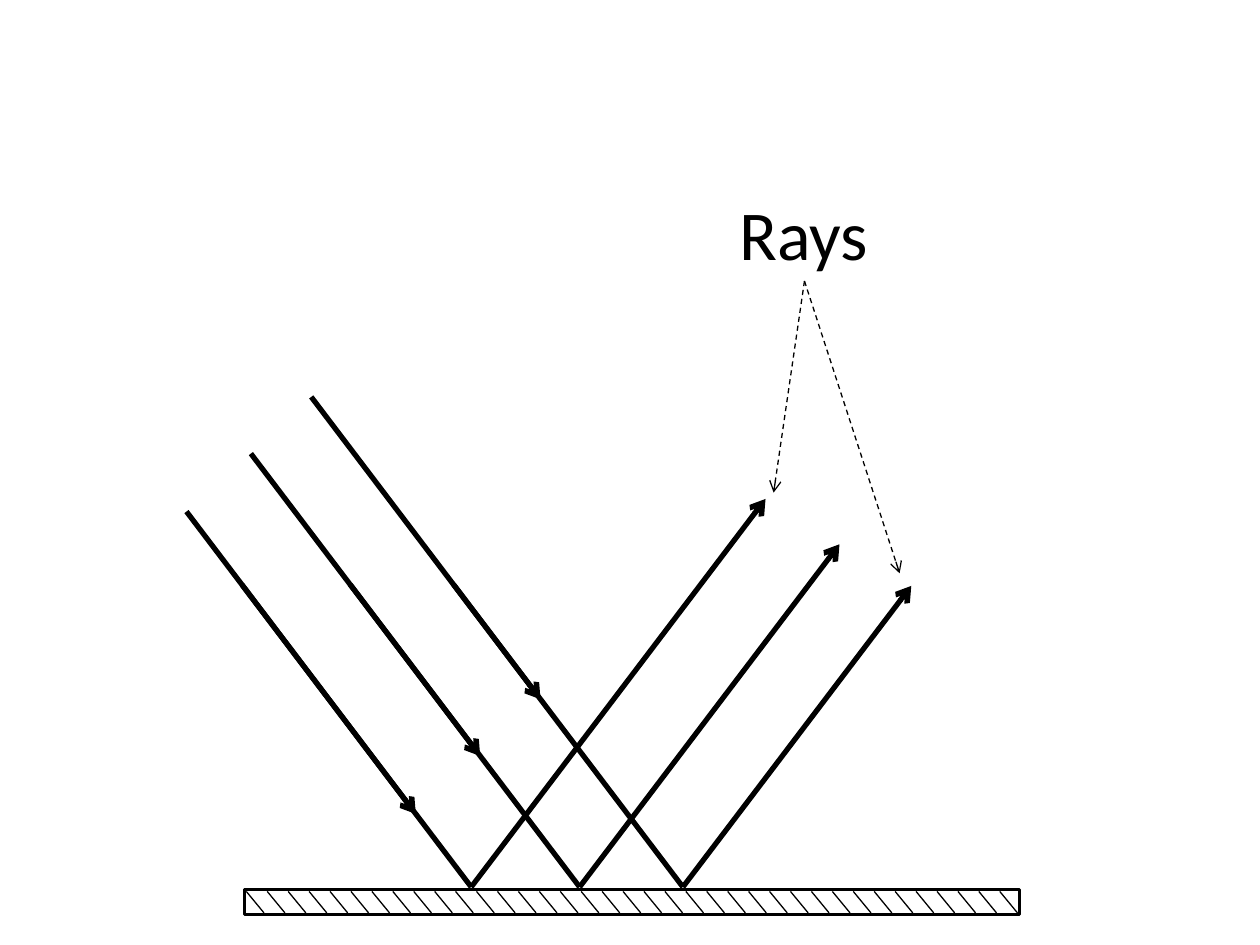
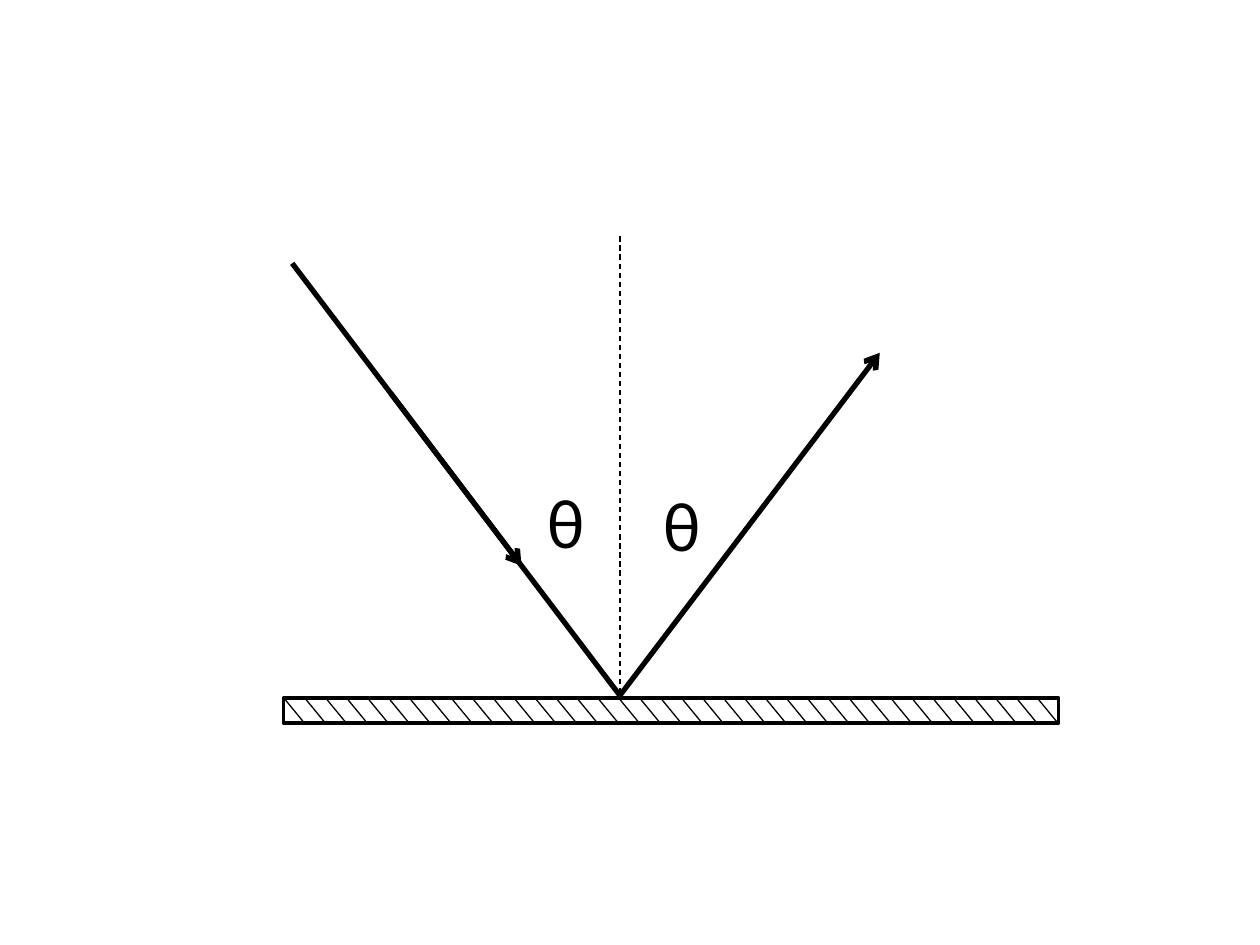
from dataclasses import dataclass

from lxml import etree
from pptx import Presentation
from pptx import util as u
from pptx.dml.color import RGBColor
from pptx.enum import dml, shapes, text
from pptx.oxml import ns


@dataclass(frozen=True)
class Theme:
    ink: RGBColor = RGBColor(0, 0, 0)
    paper: RGBColor = RGBColor(255, 255, 255)
    font: str = "Calibri"
    label: float = 40
    ray: float = 3
    edge: float = 2
    thin: float = 0.75


@dataclass(frozen=True)
class Box:
    """An area of the slide, in grid cells."""
    x: float
    y: float
    w: float
    h: float

    def at(self, dx, dy):
        return self.x + dx, self.y + dy


THEME = Theme()
COLUMNS, ROWS = 10, 7.5
CELL = u.Inches(1)
MIRROR_W, MIRROR_H = 6.15, 0.2
HATCHES, HATCH_W, HATCH_INSET = 37, 0.14, 0.015
RAY_SLOPE = 1.82 / 2.4  # run across for each cell of rise
ARROW_RISE = 2.4        # height covered by the arrowed part of an incoming ray
SURFACE_GAP = 0.02


def cells(*values):
    return [round(v * CELL) for v in values]


def add_line(parent, start, end, width, arrow=False, dashed=False):
    cn = parent.add_connector(shapes.MSO_CONNECTOR.STRAIGHT, *cells(*start, *end))
    cn.line.color.rgb = THEME.ink
    cn.line.width = u.Pt(width)
    if dashed:
        cn.line.dash_style = dml.MSO_LINE.DASH
    if arrow:
        etree.SubElement(cn.line._get_or_add_ln(), ns.qn("a:tailEnd"), type="arrow")
    etree.SubElement(cn._element.spPr, ns.qn("a:effectLst"))


def add_mirror(slide, box):
    group = slide.shapes.add_group_shape().shapes
    sp = group.add_shape(shapes.MSO_SHAPE.RECTANGLE, *cells(box.x, box.y, box.w, box.h))
    sp.shadow.inherit = False
    sp.fill.solid()
    sp.fill.fore_color.rgb = THEME.paper
    sp.line.color.rgb = THEME.ink
    sp.line.width = u.Pt(THEME.edge)
    pitch = (box.w - 2 * HATCH_INSET - HATCH_W) / (HATCHES - 1)
    for i in range(HATCHES):
        left = HATCH_INSET + i * pitch
        add_line(group, box.at(left + HATCH_W, box.h - HATCH_INSET),
                 box.at(left, HATCH_INSET), THEME.thin)


def add_ray(slide, mirror, hit, rise_in, rise_out):
    """Draw a ray that meets the mirror at hit and leaves at the same angle."""
    def point(rise, side):
        return mirror.at(hit + side * rise * RAY_SLOPE, -SURFACE_GAP - rise)

    start, foot = point(rise_in, -1), point(0, 0)
    add_line(slide.shapes, start, point(rise_in - ARROW_RISE, -1), THEME.ray, arrow=True)
    add_line(slide.shapes, point(ARROW_RISE, -1), foot, THEME.ray)
    add_line(slide.shapes, foot, point(rise_out, 1), THEME.ray, arrow=True)


def add_label(slide, box, words, wrap=True):
    tf = slide.shapes.add_textbox(*cells(box.x, box.y, box.w, box.h)).text_frame
    tf.word_wrap = wrap
    tf.auto_size = text.MSO_AUTO_SIZE.SHAPE_TO_FIT_TEXT
    p = tf.paragraphs[0]
    p.text = words
    p.font.name = THEME.font
    p.font.size = u.Pt(THEME.label)
    p.font.color.rgb = THEME.ink


def parallel_rays_slide(slide, mirror):
    add_mirror(slide, mirror)
    for hit, rise_in, rise_out in ((1.8, 2.98, 3.08), (2.66, 3.44, 2.72), (3.48, 3.89, 2.39)):
        add_ray(slide, mirror, hit, rise_in, rise_out)
    label = Box(*mirror.at(3.83, -5.6), 1.23, 0.77)
    add_label(slide, label, "Rays", wrap=False)
    for tip in ((4.2, -3.15), (5.2, -2.51)):
        add_line(slide.shapes, label.at(label.w / 2, label.h), mirror.at(*tip),
                 THEME.thin, arrow=True, dashed=True)


def equal_angles_slide(slide, mirror):
    hit = 2.67
    add_mirror(slide, mirror)
    add_ray(slide, mirror, hit, 3.43, 2.72)
    add_line(slide.shapes, mirror.at(hit, -0.04), mirror.at(hit, -3.68),
             THEME.thin, dashed=True)
    for dx, dy in ((2, -1.79), (2.92, -1.77)):
        add_label(slide, Box(*mirror.at(dx, dy), 0.98, 0.77), "θ")


def main():
    prs = Presentation()
    prs.slide_width, prs.slide_height = cells(COLUMNS, ROWS)
    for build, x, y in ((parallel_rays_slide, 1.94, 7.06), (equal_angles_slide, 2.25, 5.54)):
        slide = prs.slides.add_slide(prs.slide_layouts[6])
        build(slide, Box(x, y, MIRROR_W, MIRROR_H))
    prs.save("out.pptx")


if __name__ == "__main__":
    main()
